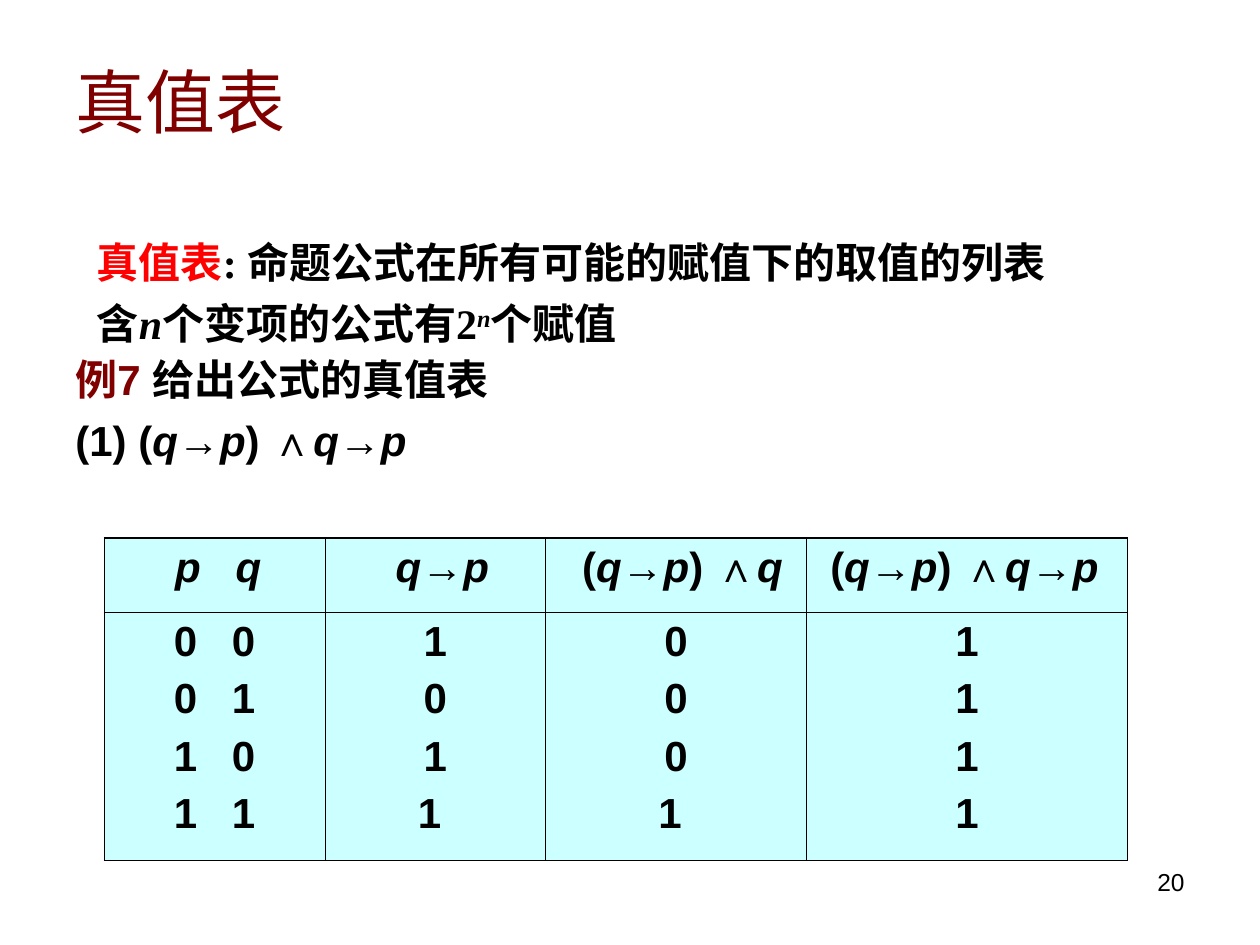
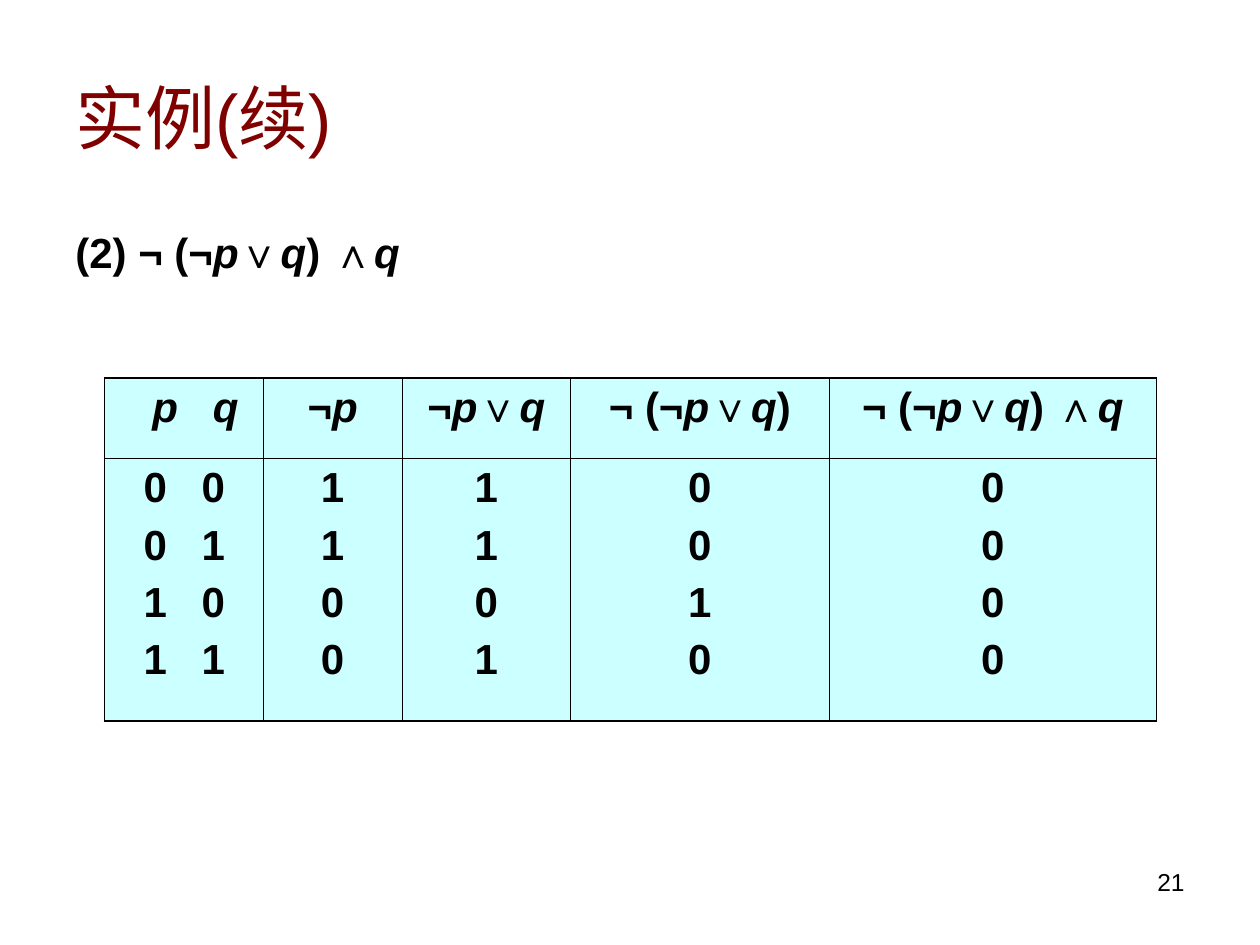
from itertools import groupby
from lxml.etree import SubElement
from pptx import Presentation
from pptx.dml.color import RGBColor
from pptx.enum.text import MSO_ANCHOR, PP_ALIGN as Align
from pptx.oxml import parse_xml
from pptx.oxml.ns import nsdecls, qn
from pptx.util import Inches, Pt

BLACK = RGBColor(0, 0, 0)
MAROON = RGBColor(0x80, 0, 0)
RED = RGBColor(0xFF, 0, 0)
PALE_CYAN = RGBColor(0xCC, 0xFF, 0xFF)

VARIABLES = "pqn"
OUTER_LINE, INNER_LINE = Pt(1.08), Pt(0.45)
TABLE_LEFT = 0.83
CELL_MARGIN = 0.1
HEADER_TAB, VALUE_TAB = 0.48, 0.46
PAIRS = ["0\t0", "0\t1", "1\t0", "1\t1"]

SLIDES = [
    {
        "number": "20",
        "title": "真值表",
        "title_height": 1,
        "texts": [
            {
                "box": (0.5, 2.76, 9, 1.19),
                "font": "Arial",
                "paragraphs": [
                    [("例7 ", MAROON), ("给出公式的真值表", BLACK)],
                    [("(1) (q→p) ∧q→p", BLACK)],
                ],
            },
            {
                "box": (0.67, 1.83, 8.67, 0.99),
                "font": "Times New Roman",
                "paragraphs": [
                    [("真值表", RED), (": 命题公式在所有可能的赋值下的取值的列表", BLACK)],
                    [("含n个变项的公式有2", BLACK), ("n", BLACK, "30000"), ("个赋值", BLACK)],
                ],
            },
        ],
        "table": {
            "top": 4.27,
            "row_heights": (0.59, 1.97),
            "pair_margins": (0.56, 0.55),
            "header_align": Align.LEFT,
            "columns": [
                (1.75, 0.56, "p\tq", PAIRS),
                (1.75, 0.56, "q→p", ["1", "0", "1", "1 "]),
                (2.07, 0.29, "(q→p) ∧q", ["0", "0", "0", "1 "]),
                (2.55, 0.19, "(q→p) ∧q→p", ["1", "1", "1", "1"]),
            ],
        },
    },
    {
        "number": "21",
        "title": "实例(续)",
        "title_height": 1.25,
        "texts": [
            {
                "box": (0.5, 1.75, 9, 4.13),
                "font": "Arial",
                "paragraphs": [[("(2) ¬ (¬p∨q) ∧q", BLACK)]],
            },
        ],
        "table": {
            "top": 3,
            "row_heights": (0.64, 2.08),
            "pair_margins": (0.38, 0.31),
            "header_align": Align.CENTER,
            "columns": [
                (1.26, 0.38, "p\tq", PAIRS),
                (1.1, CELL_MARGIN, "¬p", ["1", "1", "0", "0"]),
                (1.34, CELL_MARGIN, "¬p∨q", ["1", "1", "0", "1"]),
                (2.05, CELL_MARGIN, "¬ (¬p∨q)", ["0", "0", "1", "0"]),
                (2.6, CELL_MARGIN, "¬ (¬p∨q) ∧q", ["0", "0", "0", "0"]),
            ],
        },
    },
]


def add_run(paragraph, text, font, size, colour, bold=False, italic=False):
    """Add one formatted run and return it."""
    run = paragraph.add_run()
    run.text = text
    run.font.name, run.font.size = font, Pt(size)
    run.font.bold, run.font.italic = bold, italic
    run.font.color.rgb = colour
    return run


def add_formula(paragraph, text, colour=BLACK, baseline=None, font="Arial"):
    """Add bold text with its variables in italics."""
    for italic, letters in groupby(text, lambda letter: letter in VARIABLES):
        run = add_run(paragraph, "".join(letters), font, 24, colour, True, italic)
        if baseline:
            run.font._element.set("baseline", baseline)


def fill_frame(frame, paragraphs, font="Arial", align=Align.LEFT, tab=None):
    """Write paragraphs, each a list of run tuples, into a text frame."""
    frame.word_wrap = True
    for index, runs in enumerate(paragraphs):
        paragraph = frame.add_paragraph() if index else frame.paragraphs[0]
        paragraph.alignment = align
        paragraph.space_before = Pt(6)
        if tab:
            tabs = SubElement(paragraph._p.get_or_add_pPr(), qn("a:tabLst"))
            SubElement(tabs, qn("a:tab"), pos=str(Inches(tab)), algn="l")
        for run in runs:
            add_formula(paragraph, *run, font=font)


def set_borders(cell, widths):
    """Draw the left, right, top and bottom lines of a cell."""
    properties = cell._tc.get_or_add_tcPr()
    for index, (side, width) in enumerate(zip("LRTB", widths)):
        properties.insert(index, parse_xml(
            f'<a:ln{side} {nsdecls("a")} w="{int(width)}"><a:solidFill>'
            f'<a:srgbClr val="{BLACK}"/></a:solidFill></a:ln{side}>'))


def add_truth_table(slide, top, row_heights, pair_margins, header_align, columns):
    """Add a truth table with a header row and one row of stacked values."""
    width = sum(column[0] for column in columns)
    table = slide.shapes.add_table(
        2, len(columns), Inches(TABLE_LEFT), Inches(top),
        Inches(width), Inches(sum(row_heights))).table
    table.first_row = table.horz_banding = False
    for row, height in zip(table.rows, row_heights):
        row.height = Inches(height)
    last = len(columns) - 1
    for index, (width, header_margin, header, values) in enumerate(columns):
        table.columns[index].width = Inches(width)
        is_pair = index == 0
        value_margin = pair_margins[1] if is_pair else CELL_MARGIN
        value_align = Align.LEFT if is_pair else Align.CENTER
        rows = [
            ([header], header_margin, Align.LEFT if is_pair else header_align, HEADER_TAB),
            (values, value_margin, value_align, VALUE_TAB),
        ]
        for row, (lines, margin, align, tab) in enumerate(rows):
            cell = table.cell(row, index)
            cell.fill.solid()
            cell.fill.fore_color.rgb = PALE_CYAN
            cell.margin_left = Inches(margin)
            edges = (index == 0, index == last, row == 0, row == 1)
            set_borders(cell, [OUTER_LINE if edge else INNER_LINE for edge in edges])
            fill_frame(cell.text_frame, [[(line,)] for line in lines],
                       align=align, tab=tab if is_pair else None)


def add_title(slide, text, height):
    """Place and format the title placeholder."""
    title = slide.shapes.title
    title.left, title.top = Inches(0.5), Inches(0.3)
    title.width, title.height = Inches(9), Inches(height)
    title.text_frame.vertical_anchor = MSO_ANCHOR.MIDDLE
    paragraph = title.text_frame.paragraphs[0]
    paragraph.alignment = Align.LEFT
    add_run(paragraph, text, "Arial", 40, MAROON)


def add_slide_number(slide, number):
    """Write the slide number at the lower right."""
    box = slide.shapes.add_textbox(Inches(7.17), Inches(6.83), Inches(2.33), Inches(0.52))
    box.text_frame.word_wrap = True
    paragraph = box.text_frame.paragraphs[0]
    paragraph.alignment = Align.RIGHT
    add_run(paragraph, number, "Arial", 14, BLACK)


def main():
    """Build the truth table slides."""
    presentation = Presentation()
    presentation.slide_width, presentation.slide_height = Inches(10), Inches(7.5)
    for content in SLIDES:
        slide = presentation.slides.add_slide(presentation.slide_layouts[5])
        add_slide_number(slide, content["number"])
        add_title(slide, content["title"], content["title_height"])
        for text in content["texts"]:
            box = slide.shapes.add_textbox(*map(Inches, text["box"]))
            fill_frame(box.text_frame, text["paragraphs"], text["font"])
        add_truth_table(slide, **content["table"])
    presentation.save("out.pptx")


if __name__ == "__main__":
    main()
